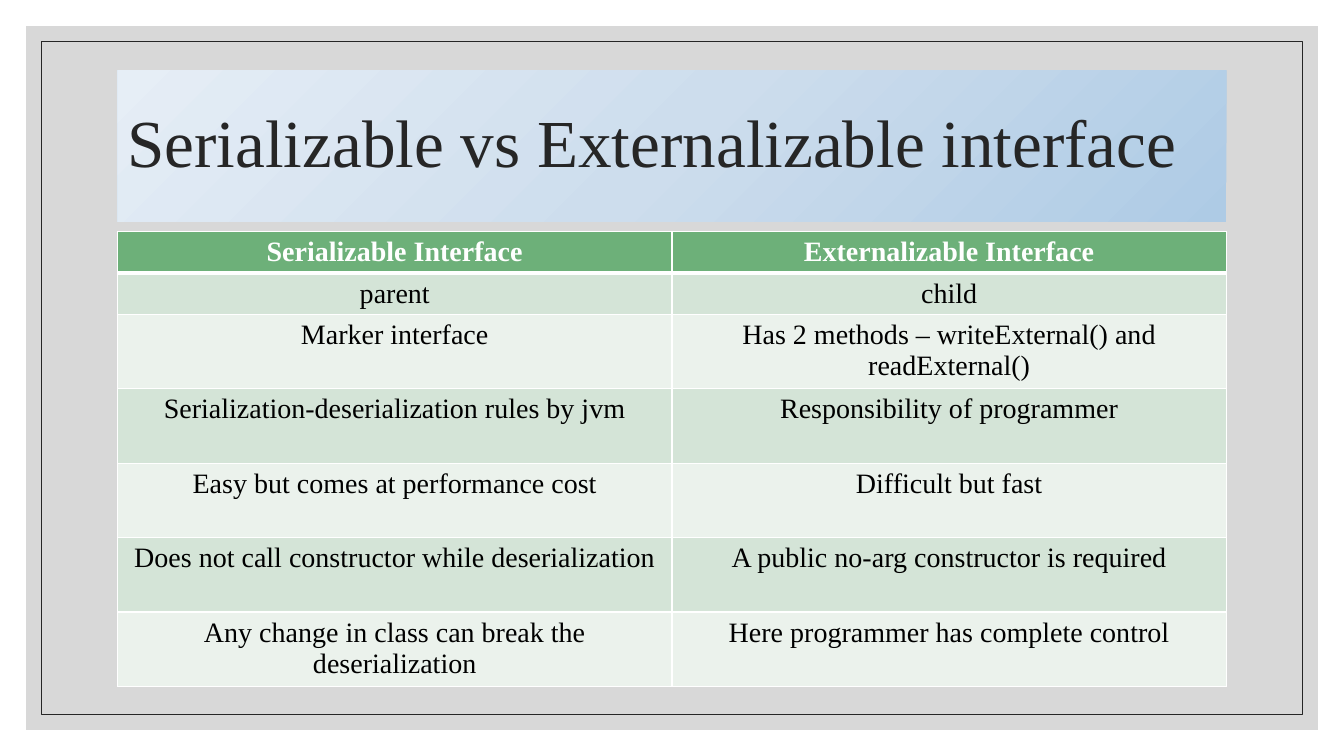
"""Build a slide comparing the Serializable and Externalizable interfaces."""
from copy import deepcopy

from lxml.etree import SubElement
from pptx import Presentation
from pptx.dml.color import RGBColor
from pptx.enum.shapes import MSO_SHAPE
from pptx.enum.text import MSO_ANCHOR, PP_ALIGN
from pptx.oxml import parse_xml
from pptx.oxml.ns import nsdecls, qn
from pptx.util import Pt

WIDTH, HEIGHT = 960, 540
LEFT, CONTENT_WIDTH = 84, 792
FONT = "Times New Roman"
WHITE = RGBColor(0xFF, 0xFF, 0xFF)
BLACK = RGBColor(0x00, 0x00, 0x00)
INK = RGBColor(0x26, 0x26, 0x26)
GREY = RGBColor(0xBF, 0xBF, 0xBF)
GREEN = RGBColor(0x6D, 0xB0, 0x79)
BANDS = [RGBColor(0xD4, 0xE4, 0xD7), RGBColor(0xEB, 0xF2, 0xEC)]
TITLE_BLUES = [
    RGBColor(0xAE, 0xCB, 0xE5),
    RGBColor(0xCD, 0xDD, 0xED),
    RGBColor(0xE6, 0xEE, 0xF6),
]
ROW_HEIGHTS = [28.8, 28.8] + [53.2] * 5
ROWS = [
    ("Serializable Interface", "Externalizable Interface"),
    ("parent", "child"),
    ("Marker interface", "Has 2 methods – writeExternal() and readExternal()"),
    ("Serialization-deserialization rules by jvm", "Responsibility of programmer"),
    ("Easy but comes at performance cost", "Difficult but fast"),
    ("Does not call constructor while deserialization",
     "A public no-arg constructor is required"),
    ("Any change in class can break the deserialization",
     "Here programmer has complete control"),
]


def add_rect(s, left, top, width, height):
    """Add a rectangle without shadow, fill or line."""
    sp = s.shapes.add_shape(
        MSO_SHAPE.RECTANGLE, Pt(left), Pt(top), Pt(width), Pt(height))
    sp.shadow.inherit = False
    sp.fill.background()
    sp.line.fill.background()
    return sp


def add_frame(s, margin):
    """Add a rectangle inset from every slide edge by the margin."""
    return add_rect(s, margin, margin, WIDTH - 2 * margin, HEIGHT - 2 * margin)


def add_backdrop(s):
    """Add the translucent grey panel and the thin outline inside it."""
    panel = add_frame(s, 18.7)
    panel.fill.solid()
    panel.fill.fore_color.rgb = GREY
    color = panel.element.spPr.find(qn("a:solidFill"))[0]
    SubElement(color, qn("a:alpha")).set("val", "60000")
    outline = add_frame(s, 29.5)
    outline.line.color.rgb = INK
    outline.line.width = Pt(0.5)


def format_text(p, size, color, align, bold=False):
    """Set the alignment of a paragraph and the font of its runs."""
    p.alignment = align
    for r in p.runs:
        r.font.name = FONT
        r.font.size = Pt(size)
        r.font.bold = bold
        r.font.color.rgb = color


def fill_gradient(sp, colors, angle):
    """Fill a shape with evenly spaced gradient colours."""
    sp.fill.gradient()
    sp.fill.gradient_angle = angle
    stops = sp.element.spPr.find(qn("a:gradFill")).find(qn("a:gsLst"))
    for _ in colors[2:]:
        stops.append(deepcopy(stops[-1]))
    for i, (stop, color) in enumerate(zip(sp.fill.gradient_stops, colors)):
        stop.position = i / (len(colors) - 1)
        stop.color.rgb = color


def add_title(s, text):
    """Add the title on its gradient banner."""
    sp = add_rect(s, LEFT, 50.4, CONTENT_WIDTH, 108)
    fill_gradient(sp, TITLE_BLUES, 135)
    tf = sp.text_frame
    tf.text = text
    tf.word_wrap = True
    tf.vertical_anchor = MSO_ANCHOR.MIDDLE
    p = tf.paragraphs[0]
    p.line_spacing = 0.9
    format_text(p, 48, INK, PP_ALIGN.LEFT)


def set_borders(cell, top, bottom):
    """Draw white cell borders, with the given top and bottom widths."""
    tc_pr = cell._tc.get_or_add_tcPr()
    widths = {"lnL": 1, "lnR": 1, "lnT": top, "lnB": bottom}
    for i, (tag, width) in enumerate(widths.items()):
        tc_pr.insert(i, parse_xml(
            f'<a:{tag} {nsdecls("a")} w="{Pt(width)}"><a:solidFill>'
            f'<a:srgbClr val="{WHITE}"/></a:solidFill></a:{tag}>'))


def add_comparison(s):
    """Add the banded comparison table."""
    table = s.shapes.add_table(
        len(ROWS), 2, Pt(LEFT), Pt(165.6),
        Pt(CONTENT_WIDTH), Pt(sum(ROW_HEIGHTS))).table
    for i, (texts, height) in enumerate(zip(ROWS, ROW_HEIGHTS)):
        table.rows[i].height = Pt(height)
        header = i == 0
        for j, text in enumerate(texts):
            cell = table.cell(i, j)
            cell.text = text
            format_text(cell.text_frame.paragraphs[0], 20,
                        WHITE if header else BLACK, PP_ALIGN.CENTER, header)
            cell.fill.solid()
            cell.fill.fore_color.rgb = GREEN if header else BANDS[(i - 1) % 2]
            set_borders(cell, 3 if i == 1 else 1, 3 if header else 1)


def main():
    """Build and save the slide."""
    prs = Presentation()
    prs.slide_width, prs.slide_height = Pt(WIDTH), Pt(HEIGHT)
    s = prs.slides.add_slide(prs.slide_layouts[6])
    add_backdrop(s)
    add_title(s, "Serializable vs Externalizable interface")
    add_comparison(s)
    prs.save("out.pptx")


if __name__ == "__main__":
    main()
